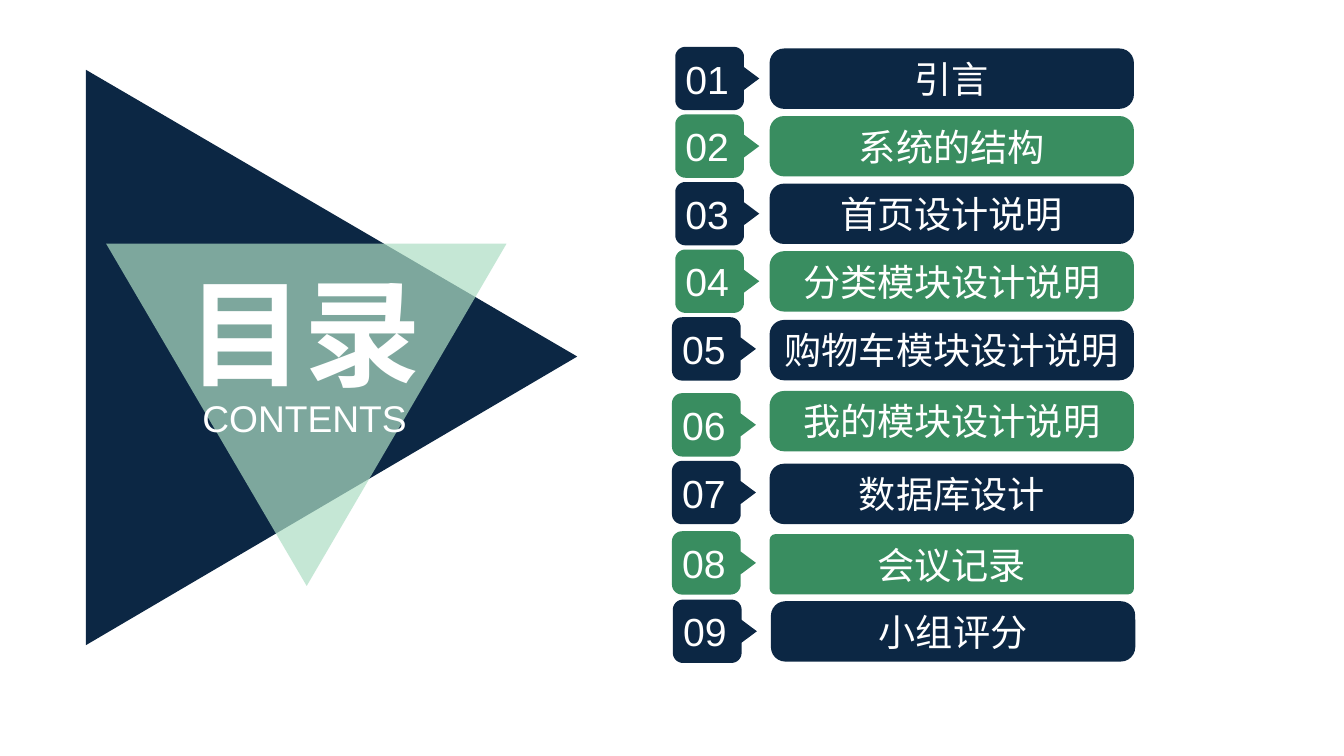
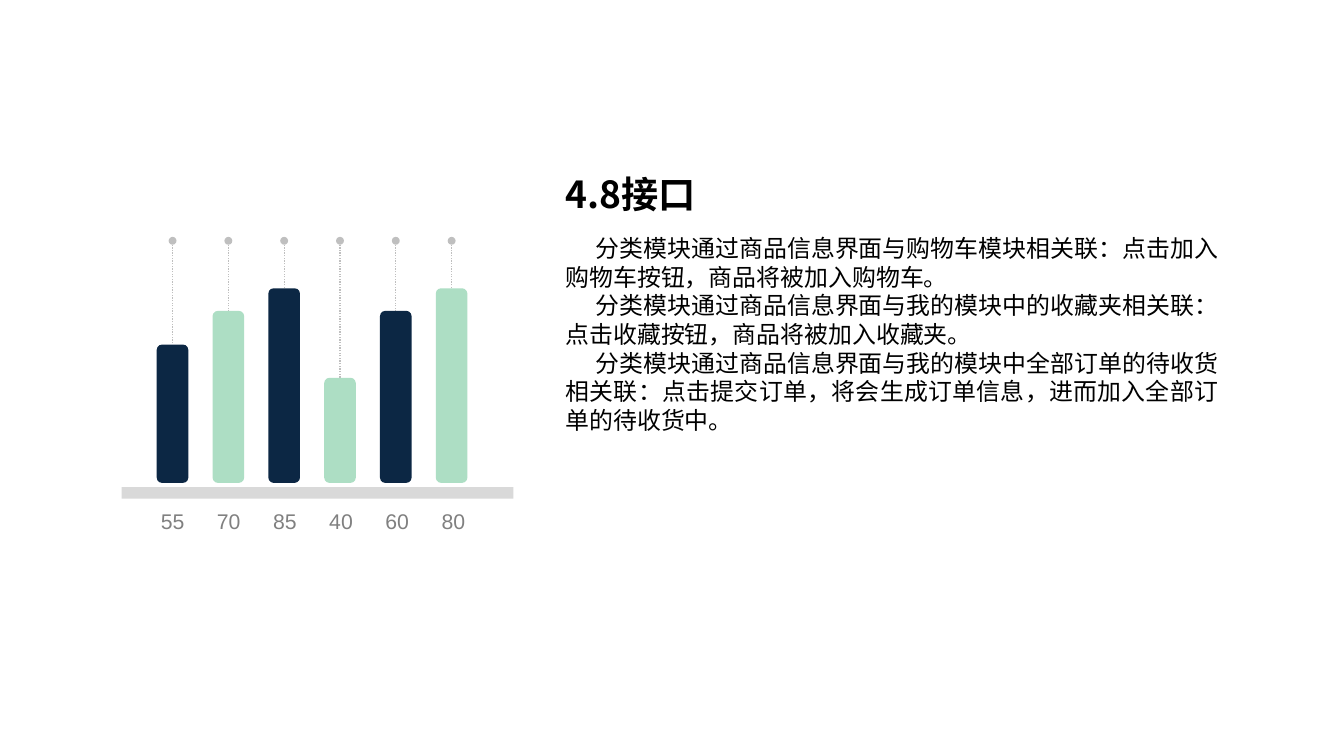
"""Build a contents slide and an interface slide with a bar graphic."""
from math import cos, pi, sin

from lxml.etree import SubElement
from pptx import Presentation
from pptx.dml.color import RGBColor
from pptx.enum.dml import MSO_LINE
from pptx.enum.shapes import MSO_CONNECTOR, MSO_SHAPE
from pptx.enum.text import MSO_ANCHOR, PP_ALIGN
from pptx.oxml.ns import qn
from pptx.util import Pt

NAVY = RGBColor(0x0C, 0x27, 0x44)
GREEN = RGBColor(0x39, 0x8D, 0x60)
MINT = RGBColor(0xAD, 0xDE, 0xC4)
WHITE = RGBColor(0xFF, 0xFF, 0xFF)
BLACK = RGBColor(0, 0, 0)
GREY = RGBColor(0x80, 0x80, 0x80)
SILVER = RGBColor(0xBF, 0xBF, 0xBF)
PALE = RGBColor(0xD9, 0xD9, 0xD9)
SANS, HAN = "Arial", "Noto Sans CJK SC"

ITEMS = [
    ("引言", 36.5, 508.7, 35.3),
    ("系统的结构", 87.4, 508.7, 86.2),
    ("首页设计说明", 138.3, 508.7, 137.1),
    ("分类模块设计说明", 189.2, 508.7, 188),
    ("购物车模块设计说明", 241, 506.2, 239),
    ("我的模块设计说明", 294.5, 506.2, 296.2),
    ("数据库设计", 349.3, 506.2, 347.2),
    ("会议记录", 402.3, 506.2, 400.2),
    ("小组评分", 452.9, 506.9, 451.7),
]
BIG = [(64.8, 52.6), (434.9, 268.6), (64.8, 486)]
SMALL = [(80, 183.6), (381.6, 183.6), (231.1, 441.4)]
BARS = [("55", 104.2), ("70", 129.6), ("85", 146.6),
        ("40", 79.2), ("60", 129.6), ("80", 146.6)]
HEAD = "4.8接口"
BODY = [
    "分类模块通过商品信息界面与购物车模块相关联：点击加入购物车按钮，商品将被加入购物车。",
    "分类模块通过商品信息界面与我的模块中的收藏夹相关联：点击收藏按钮，商品将被加入收藏夹。",
    "分类模块通过商品信息界面与我的模块中全部订单的待收货相关联："
    "点击提交订单，将会生成订单信息，进而加入全部订单的待收货中。",
]


def put(target, values):
    for key, value in values.items():
        setattr(target, key, value)


def write(para, text, color, font, align=PP_ALIGN.CENTER, **layout):
    run = para.add_run()
    run.text = text
    put(para, {"alignment": align, **layout})
    put(run.font, font)
    run.font.color.rgb = color
    SubElement(run.font._element, qn("a:ea"), typeface=HAN)


def frame(shape, inset=(0, 0, 0, 0), wrap=True, anchor=MSO_ANCHOR.TOP):
    box = shape.text_frame
    sides = ("margin_left", "margin_top", "margin_right", "margin_bottom")
    put(box, dict(zip(sides, map(Pt, inset))))
    put(box, {"word_wrap": wrap, "vertical_anchor": anchor})
    return box


def paint(shape, color):
    shape.shadow.inherit = False
    shape.fill.solid()
    shape.fill.fore_color.rgb = color
    shape.line.fill.background()
    return shape


def block(slide, kind, at, color):
    return paint(slide.shapes.add_shape(kind, *map(Pt, at)), color)


def area(slide, points, color):
    dots = [(Pt(x), Pt(y)) for x, y in points]
    pen = slide.shapes.build_freeform(*dots[0], scale=1.0)
    pen.add_line_segments(dots[1:], close=True)
    return paint(pen.convert_to_shape(), color)


def label(slide, at, text, color, font, wrap=True, **layout):
    box = frame(slide.shapes.add_textbox(*map(Pt, at)), wrap=wrap)
    write(box.paragraphs[0], text, color, font, **layout)


def tag(x, y, wide=51.8, high=47.7, curve=7.6, tip=63.3, notch=8.6):
    def arc(cx, cy, start):
        turns = [(start + step / 16) * pi for step in range(9)]
        return [(cx + curve * cos(t), cy + curve * sin(t)) for t in turns]

    left, right = x + curve, x + wide - curve
    top, low, mid = y + curve, y + high - curve, y + high / 2
    arrow = [(x + wide, mid - notch), (x + tip, mid), (x + wide, mid + notch)]
    return (arc(left, top, 1) + arc(right, top, 1.5) + arrow
            + arc(right, low, 0) + arc(left, low, 0.5))


def contents(slide):
    area(slide, BIG, NAVY)
    glass = area(slide, SMALL, MINT)
    tone = glass.fill._xPr.find(".//" + qn("a:srgbClr"))
    SubElement(tone, qn("a:alpha"), val="70000")
    label(slide, (139.7, 196.6, 179.3, 106.5), "目录", WHITE,
          {"size": Pt(88), "name": SANS, "bold": True})
    label(slide, (135.4, 298, 188, 33.8), "CONTENTS", WHITE,
          {"size": Pt(28), "name": SANS})
    last = len(ITEMS) - 1
    for i, (name, top, x, y) in enumerate(ITEMS):
        color = GREEN if i % 2 else NAVY
        left = 580.8 if i == last else 579.8
        pill = block(slide, MSO_SHAPE.ROUNDED_RECTANGLE,
                     (left, top, 274.5, 45.5), color)
        pill.adjustments[0] = 0.1 if i == last - 1 else 0.24
        mark = area(slide, tag(x, y), color)
        for shape, text, size, inset in (
                (pill, name, 28, (0, 0, 0, 0)),
                (mark, f"{i + 1:02}", 29.5, (0, 3.6, 15.1, 3.6))):
            box = frame(shape, inset, anchor=MSO_ANCHOR.MIDDLE)
            write(box.paragraphs[0], text, WHITE,
                  {"size": Pt(size), "name": SANS})


def stem(slide, x, low, top):
    line = slide.shapes.add_connector(
        MSO_CONNECTOR.STRAIGHT, Pt(x), Pt(low), Pt(x), Pt(top))
    put(line.line, {"width": Pt(1), "dash_style": MSO_LINE.ROUND_DOT})
    line.line.color.rgb = SILVER
    SubElement(line.line._get_or_add_ln(), qn("a:tailEnd"), type="oval")
    SubElement(line._element.spPr, qn("a:effectLst"))
    return line


def interface(slide):
    block(slide, MSO_SHAPE.RECTANGLE, (91.7, 367, 295.2, 8.6), PALE)
    base, wide = 363.8, 23.8
    for i, (text, high) in enumerate(BARS):
        left = 118.1 + 42.05 * i
        line = stem(slide, left + wide / 2, base, 181.4)
        bar = block(slide, MSO_SHAPE.ROUNDED_RECTANGLE,
                    (left, base - high, wide, high), MINT if i % 2 else NAVY)
        line.begin_connect(bar, 2)
        label(slide, (121 + 42.3 * i, 378.7, 18, 20.9), text, GREY,
              {"size": Pt(16), "name": SANS}, wrap=False, line_spacing=1.2)
    note = slide.shapes.add_textbox(*map(Pt, (419, 101.5, 506.2, 231.8)))
    box = frame(note, (7.2, 3.6, 7.2, 3.6))
    write(box.paragraphs[0], HEAD, BLACK,
          {"size": Pt(28), "name": HAN, "bold": True},
          PP_ALIGN.JUSTIFY, line_spacing=Pt(58), space_after=Pt(13))
    for text in BODY:
        para = box.add_paragraph()
        para._p.get_or_add_pPr().set("indent", str(Pt(22.5)))
        write(para, text, BLACK, {"size": Pt(18), "name": HAN},
              PP_ALIGN.JUSTIFY, line_spacing=Pt(21.6))


def main():
    deck = Presentation()
    put(deck, {"slide_width": Pt(1012.5), "slide_height": Pt(569.5)})
    for build in (contents, interface):
        build(deck.slides.add_slide(deck.slide_layouts[6]))
    deck.save("out.pptx")


if __name__ == "__main__":
    main()
